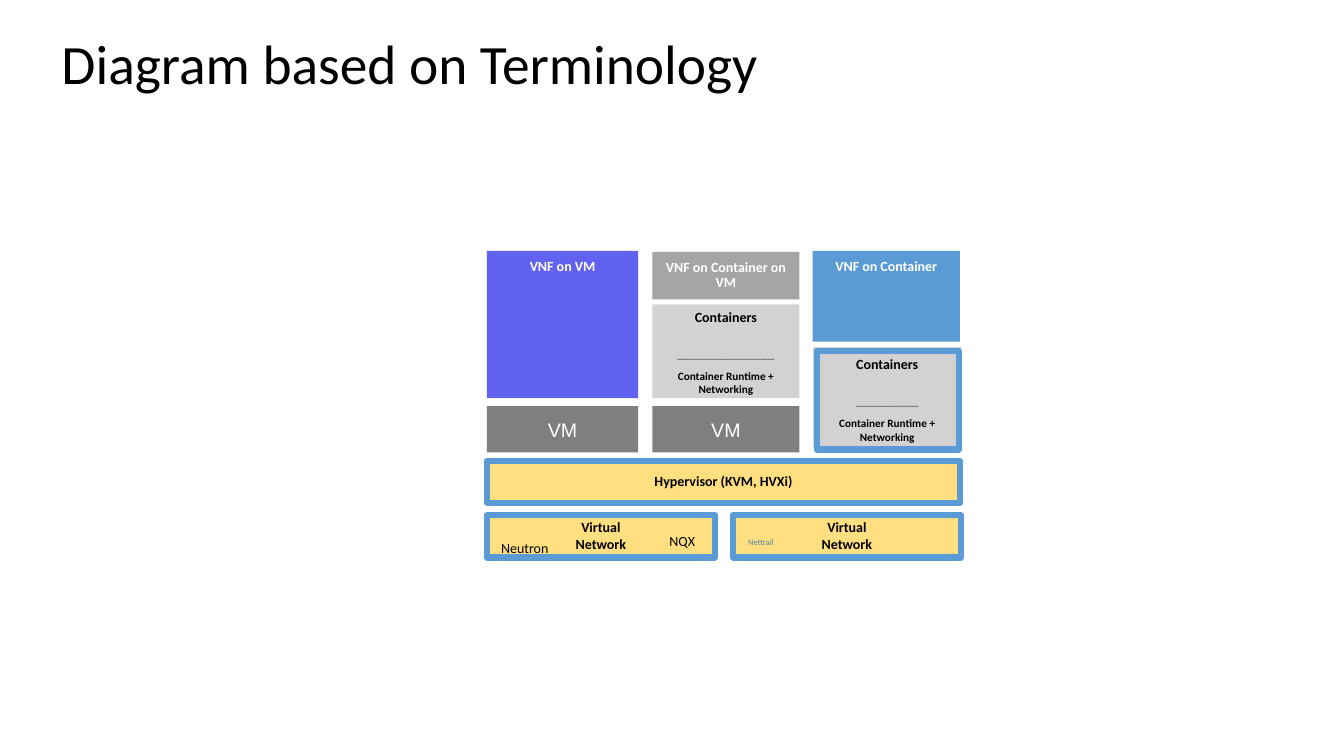
import pptx
import pptx.util
import pptx.dml.color
import pptx.enum.shapes
import pptx.enum.text
import pptx.oxml.ns
import lxml.etree

Inches = pptx.util.Inches
Pt = pptx.util.Pt
ALIGN = pptx.enum.text.PP_ALIGN
ANCHOR = pptx.enum.text.MSO_ANCHOR

COLORS = {
    "black": "000000", "white": "FFFFFF", "violet": "6262F0",
    "blue": "5B9BD5", "steel": "5383AB", "amber": "FFC000",
    "gray": "A5A5A5", "mist": "A6A6A6", "light": "D2D2D2", "dark": "7F7F7F",
}


def color(name):
    return pptx.dml.color.RGBColor.from_string(COLORS[name])


class Diagram:
    def __init__(self, slide):
        self.slide = slide
        self.bold = {"name": "Calibri", "size": Pt(10), "bold": True}
        self.plain = {"name": "Calibri", "size": Pt(10), "bold": False}
        self.machine = {"name": "Arial", "size": Pt(14), "bold": False}

    def set_text(self, frame, lines, insets, anchor=ANCHOR.TOP):
        """Fill a frame with lines of (text, font values, colour, paragraph values)."""
        frame.word_wrap = True
        frame.auto_size = pptx.enum.text.MSO_AUTO_SIZE.NONE
        frame.vertical_anchor = anchor
        for side, inset in zip(("left", "top", "right", "bottom"), insets):
            setattr(frame, f"margin_{side}", Inches(inset))
        for index, (text, font, ink, layout) in enumerate(lines):
            paragraph = frame.add_paragraph() if index else frame.paragraphs[0]
            for key, value in layout.items():
                setattr(paragraph, key, value)
            run = paragraph.add_run()
            run.text = text
            for key, value in font.items():
                setattr(run.font, key, value)
            run.font.color.rgb = color(ink)

    def title(self, text):
        heading = self.slide.shapes.title
        heading.left, heading.top, heading.width, heading.height = map(
            Inches, (0.51, 0.29, 11.5, 0.74))
        font = {"name": "Calibri", "size": Pt(39.6)}
        layout = {"alignment": ALIGN.LEFT, "line_spacing": 0.9}
        self.set_text(heading.text_frame, [(text, font, "black", layout)],
                      (0.1, 0.05, 0.1, 0.05), ANCHOR.MIDDLE)

    def block(self, place, fill=None, line=None, opacity=100):
        """Add a rectangle; line is (colour, points), opacity a percentage."""
        block = self.slide.shapes.add_shape(
            pptx.enum.shapes.MSO_SHAPE.RECTANGLE, *map(Inches, place))
        block.shadow.inherit = False
        if fill:
            block.fill.solid()
            block.fill.fore_color.rgb = color(fill)
        else:
            block.fill.background()
        if opacity < 100:
            tint = block.element.spPr.find(".//" + pptx.oxml.ns.qn("a:srgbClr"))
            lxml.etree.SubElement(
                tint, pptx.oxml.ns.qn("a:alpha"), val=str(opacity * 1000))
        if line:
            block.line.color.rgb = color(line[0])
            block.line.width = Pt(line[1])
        else:
            block.line.fill.background()
        return block

    def frame(self, place):
        self.block(place, line=("blue", 4.5))

    def vnf(self, place, fill, text):
        layout = {"alignment": ALIGN.CENTER, "line_spacing": 0.9}
        self.set_text(self.block(place, fill).text_frame,
                      [(text, self.bold, "white", layout)], (0.08,) * 4)

    def containers(self, place, rule, top_inset, **look):
        """Add a container stack whose two parts are split by a typed rule."""
        layout = {"alignment": ALIGN.CENTER, "space_after": Pt(6)}
        small = {**self.bold, "size": Pt(8)}
        lines = [
            ("Containers", self.bold, "black", {**layout, "space_after": Pt(13.5)}),
            (rule, self.bold, "dark", layout),
            ("Container Runtime + Networking", small, "black", layout),
        ]
        self.set_text(self.block(place, **look).text_frame, lines,
                      (0.08, top_inset, 0.08, 0.08))

    def machine_block(self, place):
        self.set_text(self.block(place, "dark").text_frame,
                      [("VM", self.machine, "white", {"alignment": ALIGN.CENTER})],
                      (0.07, 0.04, 0.07, 0.04), ANCHOR.MIDDLE)

    def platform(self, left, top, width, *texts):
        """Add a framed amber layer with one centred line per text."""
        layer = self.block((left, top, width, 0.41), "amber", opacity=50)
        lines = [(text, self.bold, "black", {"alignment": ALIGN.CENTER})
                 for text in texts]
        self.set_text(layer.text_frame, lines, (0.08,) * 4, ANCHOR.MIDDLE)
        self.frame((left, top, width, 0.42))

    def label(self, place, text, size=10, ink="black"):
        box = self.slide.shapes.add_textbox(*map(Inches, place))
        font = {**self.plain, "size": Pt(size)}
        self.set_text(box.text_frame, [(text, font, ink, {})], (0,) * 4)


def main():
    deck = pptx.Presentation()
    deck.slide_width, deck.slide_height = Inches(13.33), Inches(7.5)
    diagram = Diagram(deck.slides.add_slide(deck.slide_layouts[5]))
    diagram.title("Diagram based on Terminology")

    vm_left, mixed_left, container_left = 4.83, 6.47, 8.06
    diagram.vnf((vm_left, 2.49, 1.5, 1.46), "violet", "VNF on VM")
    diagram.vnf((mixed_left, 2.5, 1.46, 0.47), "gray", "VNF on Container on VM")
    diagram.vnf((container_left, 2.49, 1.46, 0.9), "blue", "VNF on Container")

    diagram.containers((8.07, 3.45, 1.46, 0.98), "_" * 9, 0.08,
                       fill="light", line=("light", 0.5))
    diagram.frame((8.1, 3.48, 1.41, 0.98))
    diagram.containers((mixed_left, 3.02, 1.46, 0.93), "_" * 14, 0.04,
                       fill="mist", opacity=50)

    for left, width in ((vm_left, 1.5), (mixed_left, 1.46)):
        diagram.machine_block((left, 4.03, width, 0.46))

    diagram.platform(vm_left, 4.57, 4.69, "Hypervisor (KVM, HVXi)")
    for left in (vm_left, 7.27):
        diagram.platform(left, 5.11, 2.26, "Virtual", "Network")

    diagram.label((4.97, 5.35, 0.68, 0.21), "Neutron")
    diagram.label((6.64, 5.28, 0.39, 0.21), "NQX")
    diagram.label((7.42, 5.33, 0.4, 0.13), "Nettrail", 6, "steel")
    deck.save("out.pptx")


if __name__ == "__main__":
    main()
